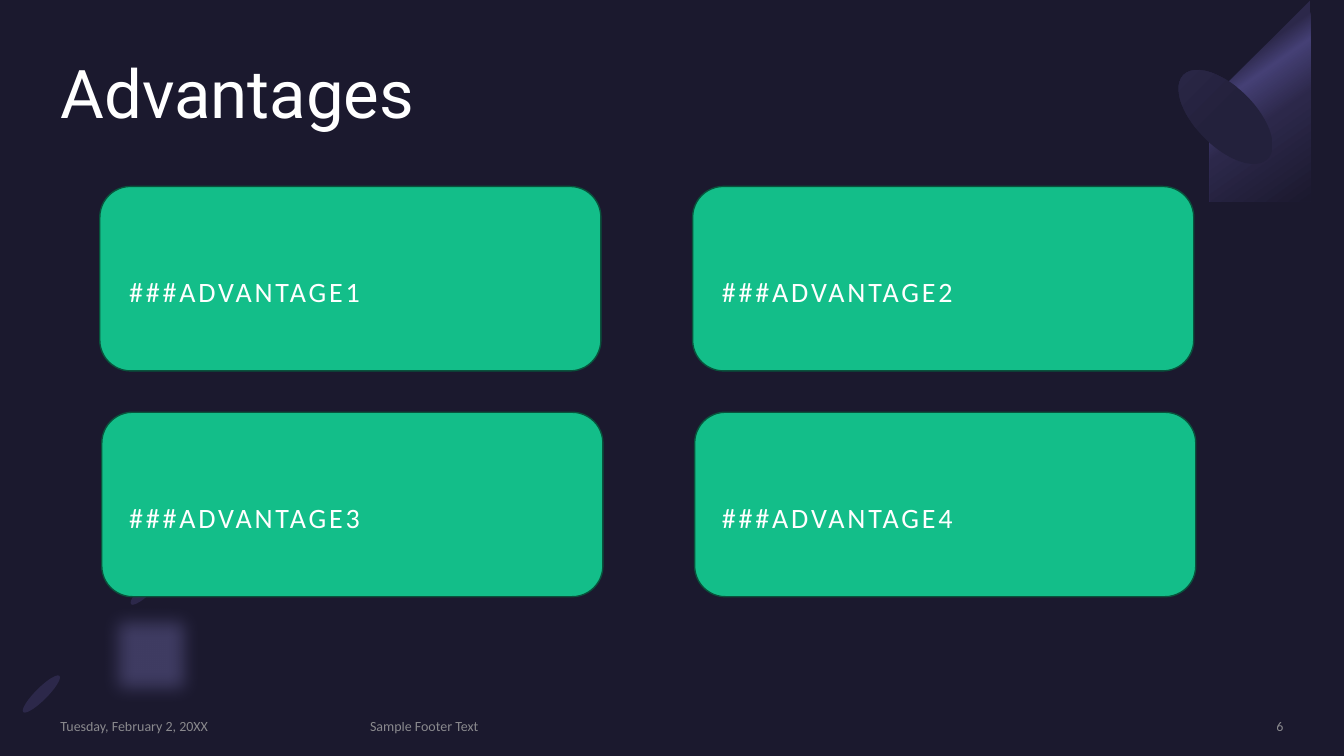
from dataclasses import dataclass
from itertools import product

from lxml import etree
from pptx import Presentation
from pptx.dml.color import RGBColor
from pptx.enum.shapes import MSO_SHAPE as Preset
from pptx.enum.text import MSO_ANCHOR as Anchor, PP_ALIGN as Align
from pptx.oxml import parse_xml
from pptx.oxml.ns import nsdecls, qn
from pptx.util import Inches, Pt


@dataclass(frozen=True)
class Theme:
    background: str = "1B192E"
    white: str = "FFFFFF"
    muted: str = "A6A6A6"
    card: str = "13BE89"
    card_line: str = "08533C"
    shade: str = "2C284A"
    glow: str = "7771B2"
    cone: tuple = ((30, "2C284A"), (40, "454075"), (60, "2C284A"), (100, "1B192E"))
    cone_base: tuple = ((50, "23213C"), (100, "2C284A"))
    title_font: str = "Roboto"
    body_font: str = "Calibri"
    title_size: int = 48
    card_size: int = 20
    footer_size: int = 10


THEME = Theme()


# Shared helpers
def paint(shape, color):
    shape.shadow.inherit = False
    shape.line.fill.background()
    shape.fill.solid()
    shape.fill.fore_color.rgb = RGBColor.from_string(color)


def paint_gradient(shape, stops, angle):
    paint(shape, stops[0][1])
    marks = "".join(f'<a:gs pos="{position * 1000}"><a:srgbClr val="{color}"/></a:gs>'
                    for position, color in stops)
    gradient = parse_xml(f'<a:gradFill {nsdecls("a")} rotWithShape="1"><a:gsLst>{marks}'
                         f'</a:gsLst><a:lin ang="{angle * 60000}" scaled="0"/></a:gradFill>')
    properties = shape.fill._xPr
    properties.replace(properties.find(qn("a:solidFill")), gradient)


def set_alpha(element, percent):
    color = element.find(".//" + qn("a:solidFill") + "/" + qn("a:srgbClr"))
    etree.SubElement(color, qn("a:alpha")).set("val", str(percent * 1000))


def add_shape(slide, preset, box, rotation=0):
    shape = slide.shapes.add_shape(preset, *map(Inches, box))
    shape.rotation = rotation
    return shape


def add_text(slide, box, text, font, size, color, anchor=Anchor.TOP, align=Align.LEFT):
    frame = slide.shapes.add_textbox(*map(Inches, box)).text_frame
    frame.word_wrap = True
    frame.vertical_anchor = anchor
    frame.margin_left = frame.margin_right = frame.margin_top = frame.margin_bottom = 0
    frame.text = text
    paragraph = frame.paragraphs[0]
    paragraph.alignment = align
    run = paragraph.runs[0]
    run.font.name, run.font.size = font, Pt(size)
    run.font.color.rgb = RGBColor.from_string(color)
    return paragraph, run


def curve(start, first, second, end, steps=16):
    """Points along a cubic curve, without its start."""
    return [tuple((1 - t) ** 3 * a + 3 * (1 - t) ** 2 * t * b + 3 * (1 - t) * t ** 2 * c + t ** 3 * d
                  for a, b, c, d in zip(start, first, second, end))
            for t in (step / steps for step in range(1, steps + 1))]


def add_outline(slide, left, top, points):
    points = [(left + x, top + y) for x, y in points]
    builder = slide.shapes.build_freeform(*points[0], scale=Inches(1))
    builder.add_line_segments(points[1:], close=True)
    return builder.convert_to_shape()


# Ring segment with its two end discs
def add_ring(slide, left, top):
    outer_end, inner_end = (1.43, 0), (0, 1.43)
    middle, inner_middle = (1.56, 1.56), (1.14, 1.14)
    points = [middle, *curve(middle, (1.96, 1.16), (1.9, 0.46), outer_end),
              *curve((1.08, 0.36), (1.31, 0.59), (1.34, 0.94), inner_middle),
              *curve(inner_middle, (0.94, 1.34), (0.59, 1.31), (0.36, 1.07)),
              *curve(inner_end, (0.47, 1.9), (1.17, 1.96), middle)]
    points.insert(17, (1.08, 0.36))
    points.insert(-16, inner_end)
    ring = add_outline(slide, left, top, points)
    paint(ring, THEME.glow)
    set_alpha(ring._element.spPr, 40)
    effects = ring._element.spPr.find(qn("a:effectLst"))
    etree.SubElement(effects, qn("a:softEdge")).set("rad", str(Inches(0.18)))
    for x, y in ((1.31, 0.05), (0.24, 1.12)):
        disc = add_shape(slide, Preset.OVAL, (left + x, top + y, 0.12, 0.51), rotation=45)
        paint(disc, THEME.shade)


# Cone in the top right corner
def add_cone(slide, left, top):
    tip, right, base = (1.19, 0), (0.87, 1.13), (0.21, 0.98)
    points = [tip, right, *curve(right, (0.86, 1.15), (0.85, 1.17), (0.84, 1.18)),
              *curve((0.84, 1.18), (0.72, 1.3), (0.44, 1.21), base),
              *curve(base, (-0.02, 0.75), (-0.11, 0.47), (0, 0.35)), (0.06, 0.31)]
    paint_gradient(add_outline(slide, left, top, points), THEME.cone, 55)
    disc = add_shape(slide, Preset.OVAL, (left + 0.12, top + 0.18, 0.59, 1.18), rotation=135)
    paint_gradient(disc, THEME.cone_base, 90)


# Two by two grid of advantage cards
def add_cards(slide, left, top):
    width, height, column_step, row_step, row_shift = 4.97, 1.83, 5.88, 2.24, 0.02
    for number, (row, column) in enumerate(product(range(2), repeat=2), start=1):
        x, y = left + column * column_step, top + row * row_step
        card = add_shape(slide, Preset.ROUNDED_RECTANGLE, (x + row * row_shift, y, width, height))
        paint(card, THEME.card)
        card.line.color.rgb = RGBColor.from_string(THEME.card_line)
        card.line.width = Pt(1)
        paragraph, run = add_text(slide, (x + 0.29, y + 0.62, 3.9, 0.59), f"###ADVANTAGE{number}",
                                  THEME.body_font, THEME.card_size, THEME.white, Anchor.BOTTOM)
        paragraph.line_spacing = 1.1
        paragraph.space_before, paragraph.space_after = Pt(10), Pt(8)
        run.font._element.set("spc", "200")


# Title line
def add_title(slide, box):
    paragraph, _ = add_text(slide, box, "Advantages", THEME.title_font,
                            THEME.title_size, THEME.white)
    paragraph.line_spacing = 0.9


# Date, footer text and slide number
def add_footer(slide, left, top):
    parts = ((0, 2.88, "Tuesday, February 2, 20XX", Align.LEFT),
             (3.07, 6.98, "Sample Footer Text", Align.LEFT),
             (10.28, 1.85, "6", Align.RIGHT))
    for x, width, text, align in parts:
        _, run = add_text(slide, (left + x, top, width, 0.17), text, THEME.body_font,
                          THEME.footer_size, THEME.muted, Anchor.MIDDLE, align)
        set_alpha(run.font._element, 80)


def build_advantages(presentation):
    slide = presentation.slides.add_slide(presentation.slide_layouts[6])
    slide.background.fill.solid()
    slide.background.fill.fore_color.rgb = RGBColor.from_string(THEME.background)
    add_ring(slide, 0.11, 5.51)
    add_cone(slide, 11.74, 0.39)
    add_cards(slide, 0.99, 1.85)
    add_title(slide, (0.6, 0.6, 12.14, 1.46))
    add_footer(slide, 0.6, 7.12)


presentation = Presentation()
presentation.slide_width, presentation.slide_height = Inches(13.33), Inches(7.5)
build_advantages(presentation)
presentation.save("out.pptx")
